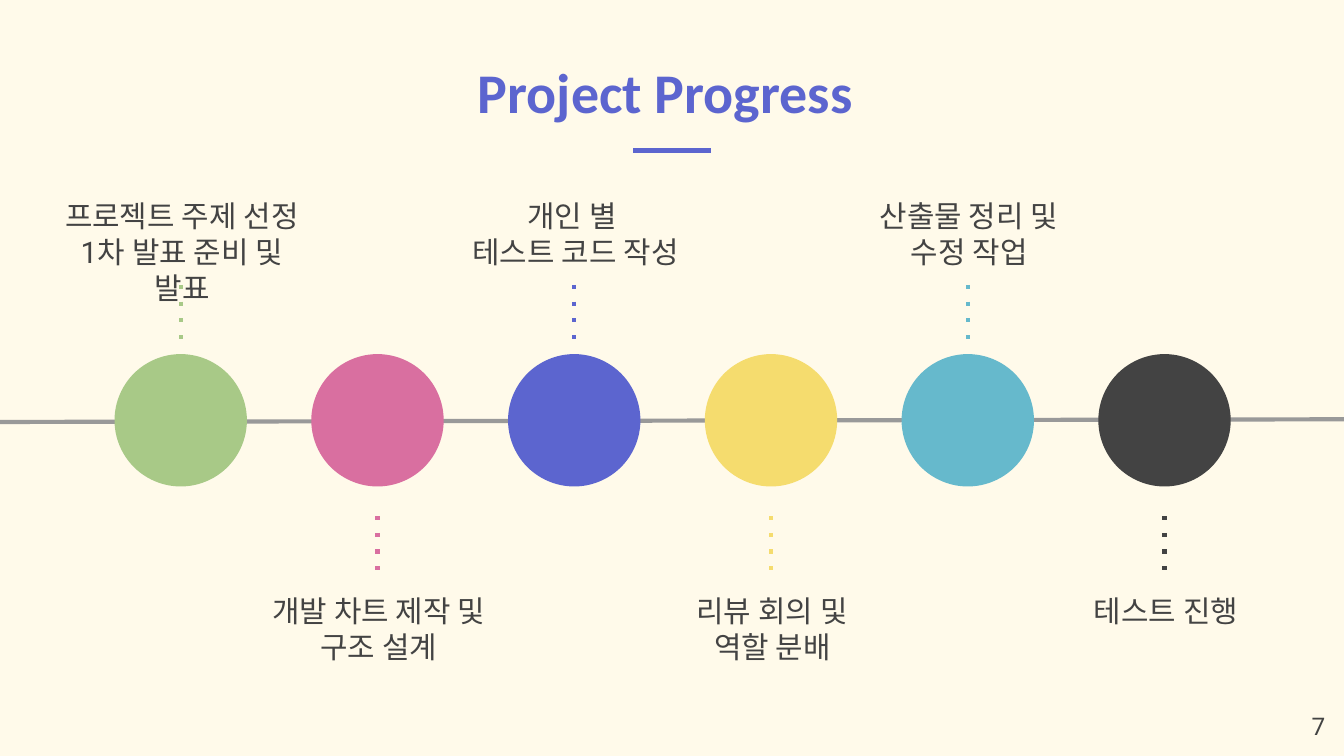
import pptx
import pptx.util
import pptx.dml.color
import pptx.enum.dml
import pptx.enum.shapes
import pptx.enum.text
import pptx.oxml.ns
import lxml.etree

COLOURS = {
    "cream": "FFFAEA",
    "green": "A8C987",
    "pink": "D96FA0",
    "indigo": "5C65CF",
    "yellow": "F5DC6E",
    "teal": "66B9CC",
    "charcoal": "434343",
    "grey": "999999",
}

STEPS = [
    ("green", ["프로젝트 주제 선정", "1차 발표 준비 및 발표"]),
    ("pink", ["개발 차트 제작 및", "구조 설계"]),
    ("indigo", ["개인 별 ", "테스트 코드 작성"]),
    ("yellow", ["리뷰 회의 및", "역할 분배"]),
    ("teal", ["산출물 정리 및", "수정 작업"]),
    ("charcoal", ["테스트 진행"]),
]

COLUMNS, ROWS = 100, 56.25
FIRST_CENTRE, STEP_PITCH = 13.45, 14.64
CIRCLE_SIZE, CIRCLE_TOP = 9.85, 26.35
LABEL_WIDTH, LABEL_HEIGHT = 20.4, 6.7


def cells(count):
    return pptx.util.Inches(count / 10)


def colour(name):
    return pptx.dml.color.RGBColor.from_string(COLOURS[name])


def write_text(box, lines, size=16, font="Roboto", ink="charcoal", bold=False,
               align="CENTER", anchor="TOP"):
    frame = box.text_frame
    frame.word_wrap = True
    frame.auto_size = pptx.enum.text.MSO_AUTO_SIZE.NONE
    frame.vertical_anchor = pptx.enum.text.MSO_ANCHOR[anchor]
    frame.margin_left = frame.margin_right = cells(1)
    frame.margin_top = frame.margin_bottom = cells(1)
    for index, line in enumerate(lines):
        para = frame.add_paragraph() if index else frame.paragraphs[0]
        para.alignment = pptx.enum.text.PP_ALIGN[align]
        span = para.add_run()
        span.text = line
        span.font.size = pptx.util.Pt(size)
        span.font.name = font
        span.font.bold = bold
        span.font.color.rgb = colour(ink)
        east_asian = lxml.etree.SubElement(span._r.get_or_add_rPr(),
                                           pptx.oxml.ns.qn("a:ea"))
        east_asian.set("typeface", font)


class Timeline:
    def __init__(self, deck):
        self.page = deck.slides.add_slide(deck.slide_layouts[5])
        self.page.background.fill.solid()
        self.page.background.fill.fore_color.rgb = colour("cream")

    def title(self, text, left, top, width, height):
        box = self.page.shapes.title
        box.left, box.top = cells(left), cells(top)
        box.width, box.height = cells(width), cells(height)
        write_text(box, [text], size=30, font="Calibri", ink="indigo",
                   bold=True, anchor="BOTTOM")

    def label(self, lines, left, top, width, height, **style):
        box = self.page.shapes.add_textbox(
            cells(left), cells(top), cells(width), cells(height))
        write_text(box, lines, **style)

    def line(self, start, end, ink, weight=2.25, dotted=False):
        connector = self.page.shapes.add_connector(
            pptx.enum.shapes.MSO_CONNECTOR.STRAIGHT,
            *(cells(place) for place in (*start, *end)))
        connector.line.color.rgb = colour(ink)
        connector.line.width = pptx.util.Pt(weight)
        if dotted:
            connector.line.dash_style = pptx.enum.dml.MSO_LINE.ROUND_DOT
            dash = connector.line._ln.find(pptx.oxml.ns.qn("a:prstDash"))
            dash.set("val", "dot")
        lxml.etree.SubElement(connector._element.spPr,
                              pptx.oxml.ns.qn("a:effectLst"))

    def circle(self, centre, ink):
        disc = self.page.shapes.add_shape(
            pptx.enum.shapes.MSO_SHAPE.OVAL,
            cells(centre - CIRCLE_SIZE / 2), cells(CIRCLE_TOP),
            cells(CIRCLE_SIZE), cells(CIRCLE_SIZE))
        disc.shadow.inherit = False
        disc.fill.solid()
        disc.fill.fore_color.rgb = colour(ink)
        disc.line.fill.background()

    def step(self, index, ink, lines):
        centre = FIRST_CENTRE + index * STEP_PITCH
        above = index % 2 == 0
        dots_top, dots_end, label_top = (
            (21.2, 25.6, 13.7) if above else (38.4, 42.7, 43.1))
        self.circle(centre, ink)
        self.line((centre, dots_top), (centre, dots_end), ink, dotted=True)
        self.label(lines, centre - LABEL_WIDTH / 2 + 0.1, label_top,
                   LABEL_WIDTH, LABEL_HEIGHT)


def main():
    deck = pptx.Presentation()
    deck.slide_width, deck.slide_height = cells(COLUMNS), cells(ROWS)
    timeline = Timeline(deck)
    timeline.title("Project Progress", 8.2, 2, 82.6, 8.3)
    timeline.line((47.1, 11.2), (52.9, 11.2), "indigo", weight=3)
    timeline.label(["7"], 93.6, 51.9, 6, 4.3, size=13, align="RIGHT")
    timeline.line((0, 31.4), (COLUMNS, 31.2), "grey")
    for index, (ink, lines) in enumerate(STEPS):
        timeline.step(index, ink, lines)
    deck.save("out.pptx")


if __name__ == "__main__":
    main()
